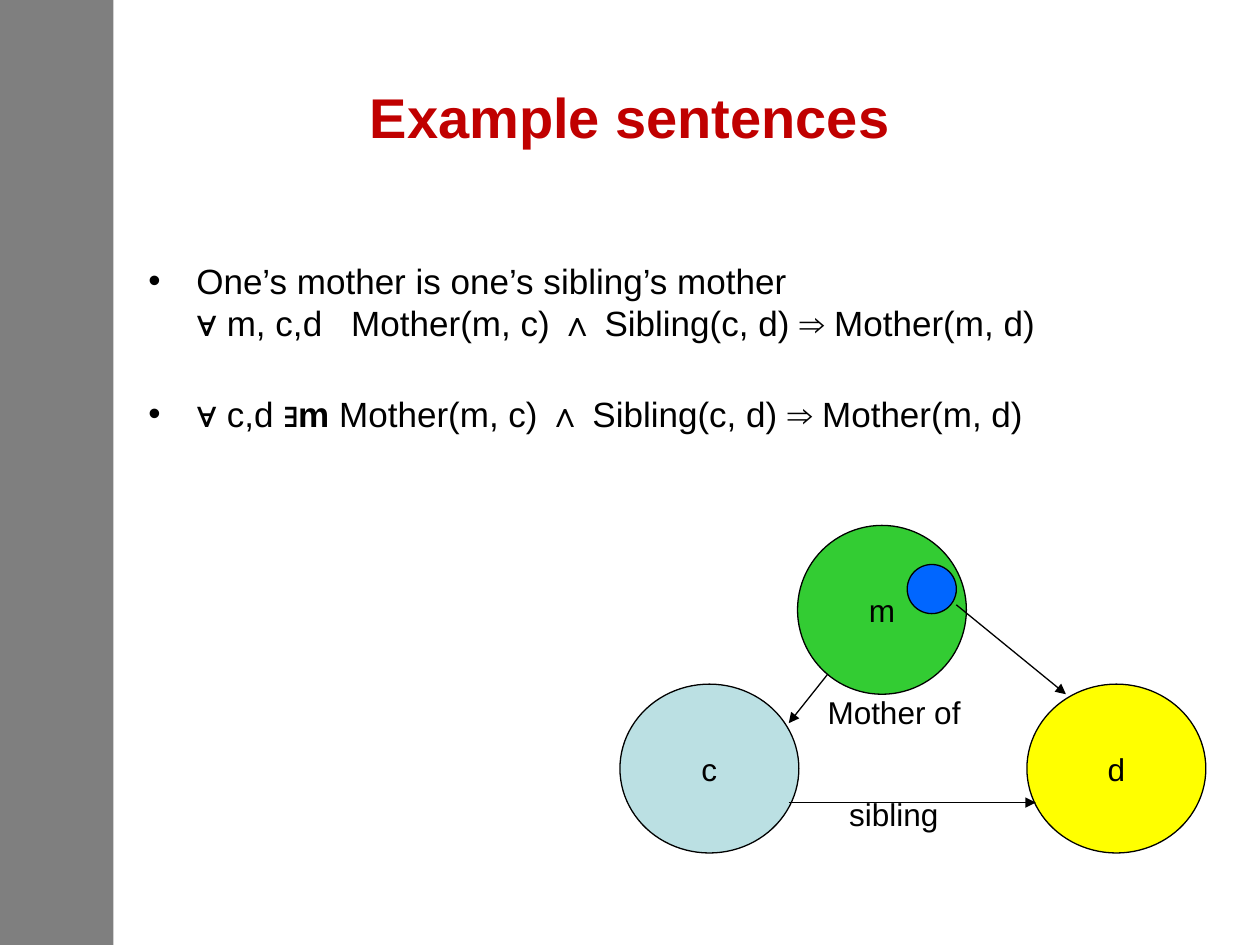
import pptx
import pptx.dml.color
import pptx.enum.shapes
import pptx.enum.text
import pptx.oxml.ns
import pptx.util
from lxml import etree

COLUMNS, ROWS = 100, 75
BLACK = "000000"
BOLD = {"bold": True}
CENTER = pptx.enum.text.PP_ALIGN.CENTER
MIDDLE = pptx.enum.text.MSO_ANCHOR.MIDDLE
SHAPES = pptx.enum.shapes.MSO_SHAPE


def color(value):
    return pptx.dml.color.RGBColor.from_string(value)


def set_values(target, values):
    for name, value in values.items():
        setattr(target, name, value)


def add_element(parent, tag, **attributes):
    return etree.SubElement(parent, pptx.oxml.ns.qn(tag), attributes)


class SlideBuilder:
    """Holds the style and the slide; lengths are cells of a 100 by 75 grid."""

    font = {"name": "Arial", "size": pptx.util.Pt(18), "bold": False}
    line_width = pptx.util.Pt(0.75)

    def __init__(self, presentation):
        self.slide = presentation.slides.add_slide(presentation.slide_layouts[6])
        self.column = presentation.slide_width / COLUMNS
        self.row = presentation.slide_height / ROWS

    def place(self, *cells):
        units = (self.column, self.row) * 2
        return [round(cell * unit) for cell, unit in zip(cells, units)]

    def style_font(self, font, text_color=BLACK, **changes):
        set_values(font, {**self.font, **changes})
        font.color.rgb = color(text_color)

    def style_line(self, line):
        line.color.rgb = color(BLACK)
        line.width = self.line_width

    def shape(self, kind, box, fill):
        shape = self.slide.shapes.add_shape(kind, *self.place(*box))
        shape.shadow.inherit = False
        shape.fill.solid()
        shape.fill.fore_color.rgb = color(fill)
        return shape

    def side_bar(self, box, fill, opacity):
        bar = self.shape(SHAPES.RECTANGLE, box, fill)
        bar.line.fill.background()
        fill_color = next(bar.fill._xPr.iter(pptx.oxml.ns.qn("a:srgbClr")))
        add_element(fill_color, "a:alpha", val=str(opacity * 1000))

    def circle(self, box, fill, label=""):
        circle = self.shape(SHAPES.OVAL, box, fill)
        self.style_line(circle.line)
        if label:
            self.fill_text(circle.text_frame, label, alignment=CENTER)
            set_values(circle.text_frame,
                       {"word_wrap": False, "vertical_anchor": MIDDLE})

    def fill_text(self, frame, text, alignment=None, **font):
        paragraph = frame.paragraphs[0]
        paragraph.alignment = alignment
        run = paragraph.add_run()
        run.text = text
        self.style_font(run.font, **font)

    def text(self, box, text, wrap=False, anchor=None, **style):
        frame = self.slide.shapes.add_textbox(*self.place(*box)).text_frame
        set_values(frame, {"word_wrap": wrap, "vertical_anchor": anchor})
        self.fill_text(frame, text, **style)

    def bullets(self, box, items, size, gap, indent):
        """Each item is a list of lines, each line a list of (text, format) runs.

        A "spacing" in a format widens the run's characters, in points.
        """
        frame = self.slide.shapes.add_textbox(*self.place(*box)).text_frame
        frame.word_wrap = True
        for number, lines in enumerate(items):
            paragraph = frame.add_paragraph() if number else frame.paragraphs[0]
            paragraph.space_before = pptx.util.Pt(gap if number else 0)
            properties = paragraph._p.get_or_add_pPr()
            margin = round(indent * self.column)
            properties.set("marL", str(margin))
            properties.set("indent", str(-margin))
            add_element(properties, "a:buFont", typeface="Arial")
            add_element(properties, "a:buChar", char="•")
            self.style_font(paragraph.font, size=pptx.util.Pt(size))
            for line_number, runs in enumerate(lines):
                if line_number:
                    paragraph.add_line_break()
                for text, changes in runs:
                    run = paragraph.add_run()
                    run.text = text
                    self.style_font(run.font, size=pptx.util.Pt(size),
                                    bold=changes.get("bold", False))
                    if "spacing" in changes:
                        run._r.get_or_add_rPr().set(
                            "spc", str(changes["spacing"] * 100))

    def arrow(self, start, end):
        connector = self.slide.shapes.add_connector(
            pptx.enum.shapes.MSO_CONNECTOR.STRAIGHT, *self.place(*start, *end))
        self.style_line(connector.line)
        add_element(connector.line._get_or_add_ln(), "a:tailEnd", type="triangle")
        add_element(connector._element.spPr, "a:effectLst")


def main():
    presentation = pptx.Presentation()
    set_values(presentation, {"slide_width": pptx.util.Inches(10),
                              "slide_height": pptx.util.Inches(7.5)})
    builder = SlideBuilder(presentation)

    builder.side_bar((0, 0, 9, ROWS), BLACK, opacity=50)
    builder.text((5, 3, 90, 12.5), "Example sentences", wrap=True, anchor=MIDDLE,
                 alignment=CENTER, text_color="C00000",
                 size=pptx.util.Pt(32), bold=True)

    rule = [(" Mother(m, c) ", {}), ("∧", BOLD),
            (" Sibling(c, d) ⇒ Mother(m, d)", {})]
    builder.bullets((10.8, 20.1, 91.7, 39.4), [
        [[("One’s mother is one’s sibling’s mother", {})],
         [("∀", BOLD), (" m, c,", {}), ("d", {"spacing": 11})] + rule],
        [[("∀", BOLD), (" c,d ", {}), ("∃m", BOLD)] + rule],
    ], size=20, gap=28, indent=3.8)

    for left, fill, label in ((49.2, "BBE0E3", "c"), (81.5, "FFFF00", "d")):
        builder.circle((left, 54.3, 14.2, 13.4), fill, label)
    builder.circle((63.3, 41.7, 13.4, 13.4), "33CC33", "m")
    builder.circle((72, 44.8, 3.9, 3.9), "0066FF")

    for start, end in (((65.7, 53.5), (62.6, 57.4)),
                       ((62.6, 63.7), (82.2, 63.7)),
                       ((75.9, 48), (84.6, 55.1))):
        builder.arrow(start, end)
    builder.text((64.7, 54.5, 15.4, 5), "Mother of")
    builder.text((66.4, 62.6, 11.1, 5), "sibling")

    presentation.save("out.pptx")


if __name__ == "__main__":
    main()
